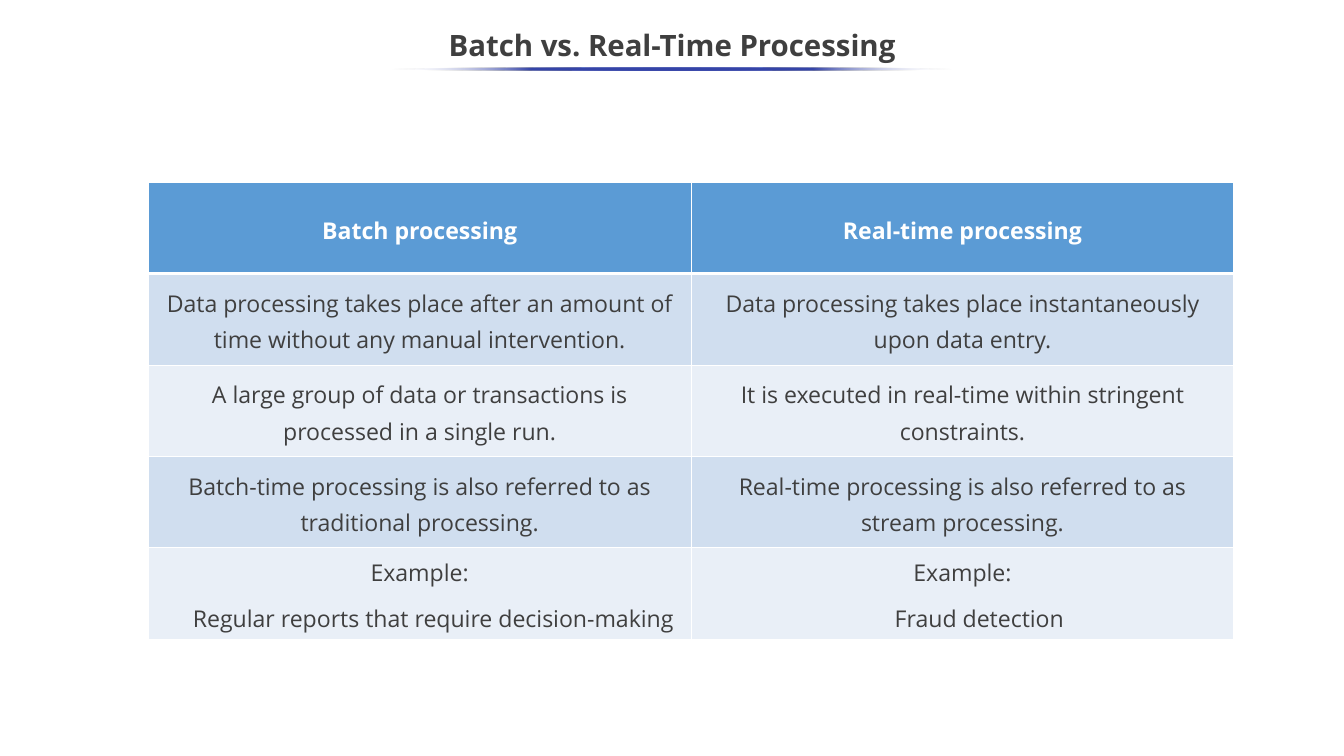
from lxml.etree import SubElement
from pptx import Presentation
from pptx.dml.color import RGBColor
from pptx.enum.shapes import MSO_SHAPE
from pptx.enum.text import MSO_ANCHOR, PP_ALIGN
from pptx.oxml.ns import qn
from pptx.util import Pt

COLORS = {
    "text": "3F3F3F",
    "white": "FFFFFF",
    "header": "5B9BD5",
    "band_dark": "D0DEEF",
    "band_light": "E9EFF7",
    "rule": "3645A9",
}
TITLE_FONT = {"name": "Open Sans", "size": Pt(28), "bold": True}
HEADER_FONT = {"name": "Open Sans", "size": Pt(22), "bold": True}
BODY_FONT = {"name": "Open Sans", "size": Pt(22), "bold": False}

ROWS = [
    ("Batch processing", "Real-time processing"),
    ("Data processing takes place after an amount of time without any manual intervention.",
     "Data processing takes place instantaneously upon data entry."),
    ("A large group of data or transactions is processed in a single run.",
     "It is executed in real-time within stringent constraints."),
    ("Batch-time processing is also referred to as traditional processing.",
     "Real-time processing is also referred to as stream processing."),
    ("Example:\nRegular reports that require decision-making",
     "Example:\nFraud detection"),
]
EXAMPLE_INDENTS = (Pt(26), Pt(32))


def rgb(name):
    return RGBColor.from_string(COLORS[name])


def add_text(p, text, font, color, spacing):
    p.alignment = PP_ALIGN.CENTER
    p.line_spacing = spacing
    r = p.add_run()
    r.text = text
    for key, value in font.items():
        setattr(r.font, key, value)
    r.font.color.rgb = rgb(color)


def add_title(s, x, y, w, h):
    sp = s.shapes.title
    sp.left, sp.top, sp.width, sp.height = Pt(x), Pt(y), Pt(w), Pt(h)
    tf = sp.text_frame
    tf.vertical_anchor = MSO_ANCHOR.MIDDLE
    add_text(tf.paragraphs[0], "Batch vs. Real-Time Processing", TITLE_FONT, "text", 0.9)


def add_rule(s, x, y, w, h):
    sp = s.shapes.add_shape(MSO_SHAPE.OVAL, Pt(x), Pt(y), Pt(w), Pt(h))
    sp.shadow.inherit = False
    sp.line.fill.background()
    sp.fill.gradient()
    sp.fill.gradient_angle = 180
    stops = sp._element.spPr.find(qn("a:gradFill")).find(qn("a:gsLst"))
    for stop in list(stops):
        stops.remove(stop)
    for pos, color in zip(range(0, 101, 25), ("white", "rule", "rule", "rule", "white")):
        stop = SubElement(stops, qn("a:gs"), pos=str(pos * 1000))
        clr = SubElement(stop, qn("a:srgbClr"), val=COLORS[color])
        if color == "white":
            SubElement(clr, qn("a:alpha"), val="0")


def set_borders(cell, widths):
    tc_pr = cell._tc.get_or_add_tcPr()
    for i, (side, width) in enumerate(widths.items()):
        ln = SubElement(tc_pr, qn(f"a:{side}"), w=str(Pt(width)))
        fill = SubElement(ln, qn("a:solidFill"))
        SubElement(fill, qn("a:srgbClr"), val=COLORS["white"])
        tc_pr.insert(i, ln)


def fill_cell(cell, text, row, col):
    header = row == 0
    band = "header" if header else ("band_light", "band_dark")[row % 2]
    cell.fill.solid()
    cell.fill.fore_color.rgb = rgb(band)
    cell.vertical_anchor = MSO_ANCHOR.MIDDLE
    set_borders(cell, {"lnL": 1, "lnR": 1, "lnT": 3 if row == 1 else 1, "lnB": 3 if header else 1})
    tf = cell.text_frame
    for i, line in enumerate(text.split("\n")):
        p = tf.add_paragraph() if i else tf.paragraphs[0]
        if i:
            p.space_before = Pt(10)
            p._p.get_or_add_pPr().set("marL", str(EXAMPLE_INDENTS[col]))
        add_text(p, line, HEADER_FONT if header else BODY_FONT,
                 "white" if header else "text", 1.15)


def add_comparison(s, x, y, w, h):
    table = s.shapes.add_table(len(ROWS), 2, Pt(x), Pt(y), Pt(w), Pt(h)).table
    for column in table.columns:
        column.width = Pt(w / 2)
    for i, texts in enumerate(ROWS):
        table.rows[i].height = Pt(h / len(ROWS))
        for j, text in enumerate(texts):
            fill_cell(table.cell(i, j), text, i, j)


def main():
    prs = Presentation()
    prs.slide_width, prs.slide_height = Pt(1280), Pt(720)
    s = prs.slides.add_slide(prs.slide_layouts[5])
    add_title(s, 0, 18, 1280, 54)
    add_comparison(s, 141.2, 173.6, 1034, 435)
    add_rule(s, 373, 64, 534, 3)
    prs.save("out.pptx")


if __name__ == "__main__":
    main()
